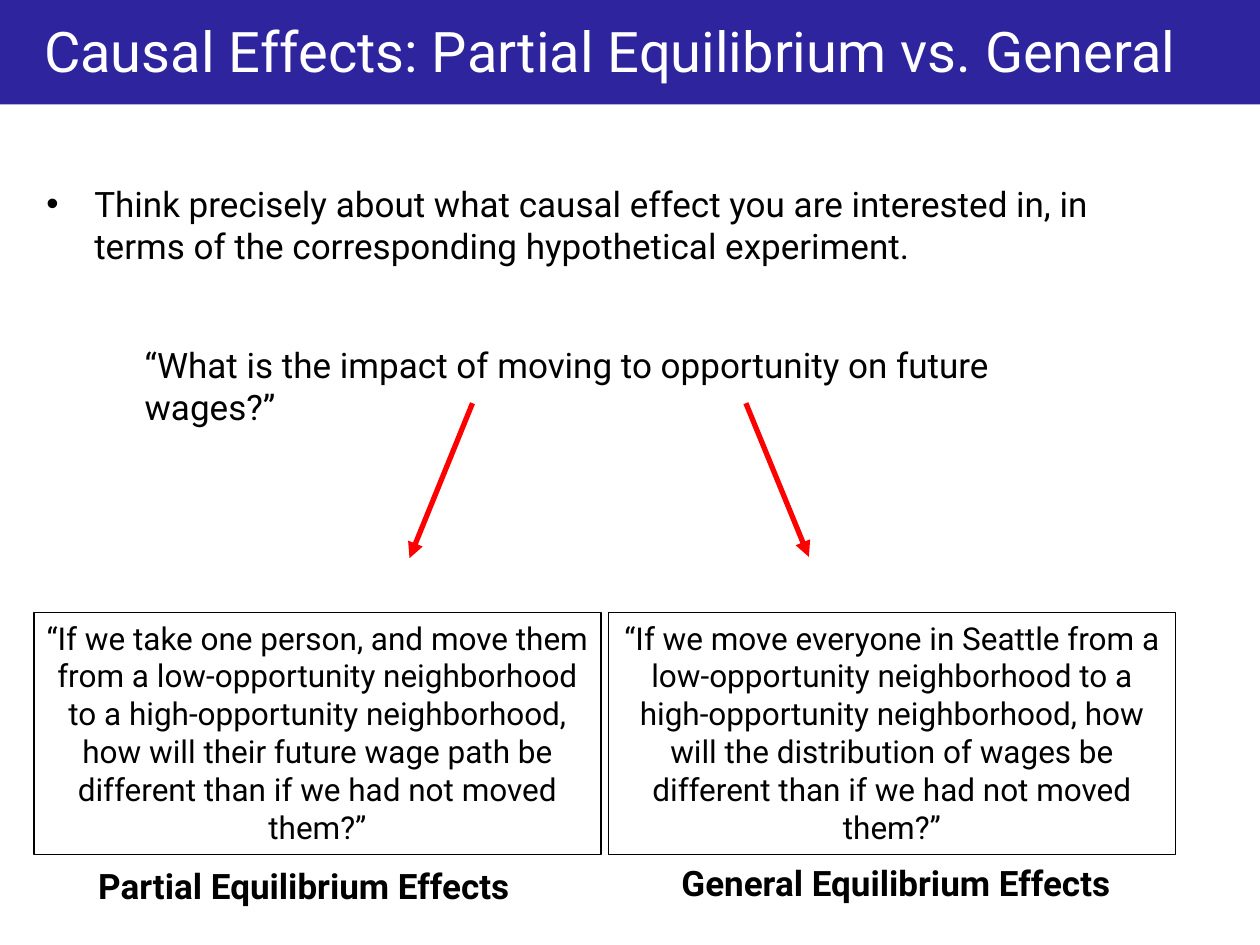
import pptx
import pptx.dml.color
import pptx.enum.shapes
import pptx.enum.text
import pptx.oxml.xmlchemy
import pptx.util
from pptx.util import Inches

RGBColor = pptx.dml.color.RGBColor
ALIGN = pptx.enum.text.PP_ALIGN
ANCHOR = pptx.enum.text.MSO_ANCHOR
RECTANGLE = pptx.enum.shapes.MSO_SHAPE.RECTANGLE

NAVY = RGBColor(0x2E, 0x24, 0x9E)
RED = RGBColor(0xFF, 0, 0)
BLACK = RGBColor(0, 0, 0)
WHITE = RGBColor(0xFF, 0xFF, 0xFF)
FONT = "Roboto"

TITLE = "Causal Effects: Partial Equilibrium vs. General"
ADVICE = ("Think precisely about what causal effect you are interested in, in terms "
          "of the corresponding hypothetical experiment.")
QUESTION = "“What is the impact of moving to opportunity on future wages?”"
EFFECTS = [
    {"left": 0.27,
     "text": "“If we take one person, and move them from a low-opportunity neighborhood "
             "to a high-opportunity neighborhood, how will their future wage path be "
             "different than if we had not moved them?”",
     "label": "Partial Equilibrium Effects", "label_at": (0.68, 6.81),
     "arrow": (3.75, 3.2, 3.25, 4.43)},
    {"left": 4.83,
     "text": "“If we move everyone in Seattle from a low-opportunity neighborhood "
             "to a high-opportunity neighborhood, how will the distribution of wages be "
             "different than if we had not moved them?”",
     "label": "General Equilibrium Effects", "label_at": (5.31, 6.79),
     "arrow": (5.92, 3.2, 6.42, 4.42)},
]


def write(shape, text, size, color=BLACK, bold=False, align=ALIGN.LEFT, anchor=ANCHOR.TOP):
    frame = shape.text_frame
    frame.text = text
    frame.word_wrap = True
    frame.auto_size = pptx.enum.text.MSO_AUTO_SIZE.NONE
    frame.vertical_anchor = anchor
    para = frame.paragraphs[0]
    para.alignment = align
    font = para.runs[0].font
    font.name, font.size, font.bold = FONT, pptx.util.Pt(size), bold
    font.color.rgb = color
    return para


def add_text(slide, at, text, size, **style):
    box = slide.shapes.add_textbox(*map(Inches, at))
    return write(box, text, size, **style)


def append_element(parent, tag, **attributes):
    element = pptx.oxml.xmlchemy.OxmlElement(tag)
    for name, value in attributes.items():
        element.set(name, value)
    parent.append(element)


def add_bullet(para, indent):
    properties = para._p.get_or_add_pPr()
    properties.set("marL", str(Inches(indent)))
    properties.set("indent", str(-Inches(indent)))
    append_element(properties, "a:buFont", typeface="Arial")
    append_element(properties, "a:buChar", char="•")


def add_arrow(slide, ends):
    arrow = slide.shapes.add_connector(
        pptx.enum.shapes.MSO_CONNECTOR.STRAIGHT, *map(Inches, ends))
    arrow.line.color.rgb = RED
    arrow.line.width = pptx.util.Pt(3)
    properties = arrow._element.spPr
    append_element(properties.get_or_add_ln(), "a:tailEnd", type="triangle")
    append_element(properties, "a:effectLst")


def add_title(slide):
    band = slide.shapes.add_shape(RECTANGLE, 0, 0, Inches(10), Inches(0.83))
    band.shadow.inherit = False
    band.fill.solid()
    band.fill.fore_color.rgb = NAVY
    band.line.fill.background()
    title = slide.shapes.title
    title._element.addprevious(band._element)  # the band lies behind the title
    title.left, title.top, title.width, title.height = map(Inches, (0.25, 0.08, 9.75, 0.63))
    write(title, TITLE, 32, color=WHITE, anchor=ANCHOR.MIDDLE)


def add_effect(slide, effect):
    add_arrow(slide, effect["arrow"])
    box = slide.shapes.add_shape(
        RECTANGLE, *map(Inches, (effect["left"], 4.86, 4.5, 1.92)))
    box.shadow.inherit = False
    box.fill.background()
    box.line.color.rgb = BLACK
    box.line.width = pptx.util.Pt(0.75)
    write(box, effect["text"], 18, align=ALIGN.CENTER)
    add_text(slide, (*effect["label_at"], 4.08, 0.44), effect["label"], 20, bold=True)


def main():
    deck = pptx.Presentation()
    deck.slide_width, deck.slide_height = Inches(10), Inches(7.5)
    slide = deck.slides.add_slide(deck.slide_layouts[5])
    add_title(slide)
    add_bullet(add_text(slide, (0.27, 1.4, 9.06, 0.77), ADVICE, 20), 0.38)
    add_text(slide, (1.05, 2.68, 7.56, 0.77), QUESTION, 20)
    for effect in EFFECTS:
        add_effect(slide, effect)
    deck.save("out.pptx")


if __name__ == "__main__":
    main()
